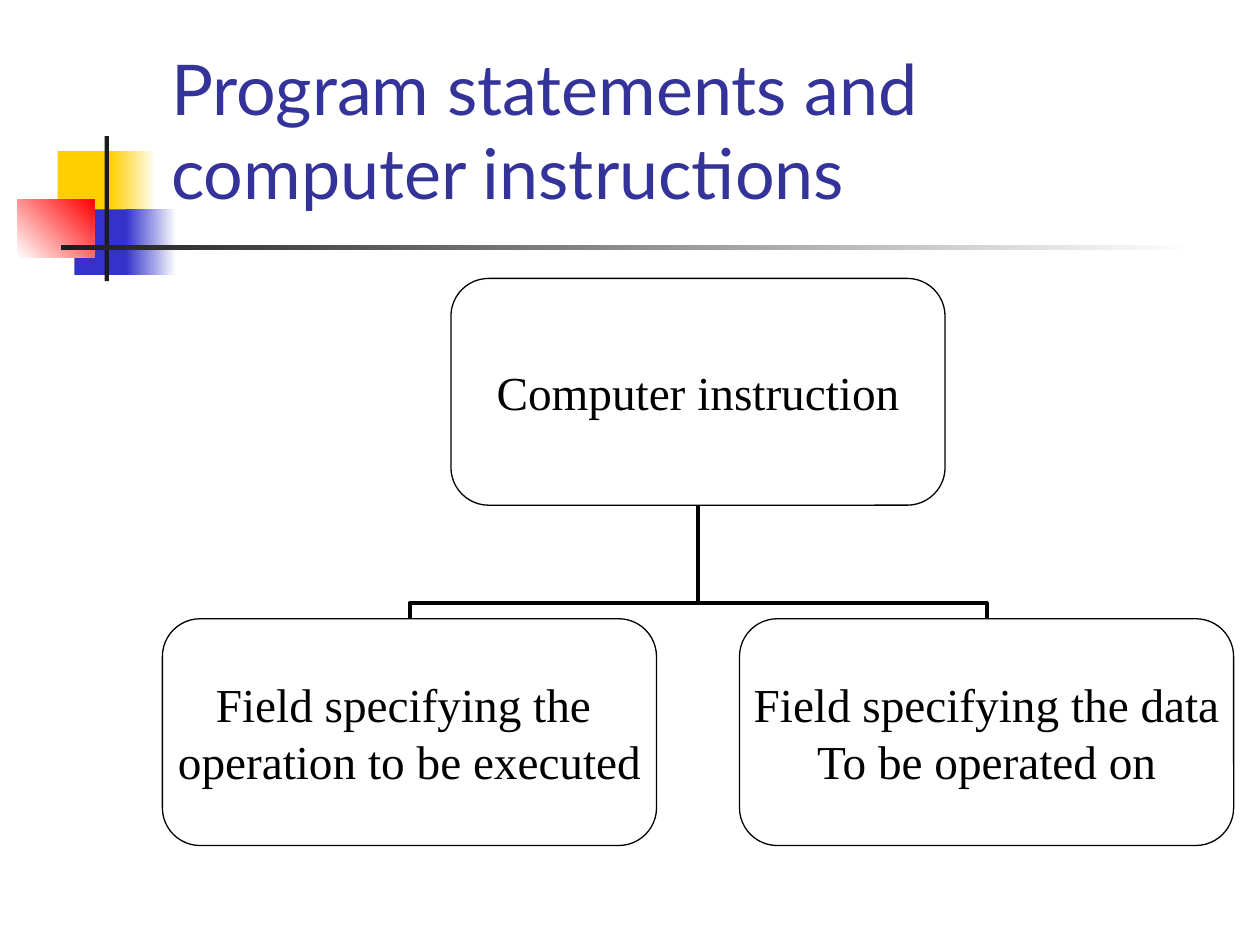
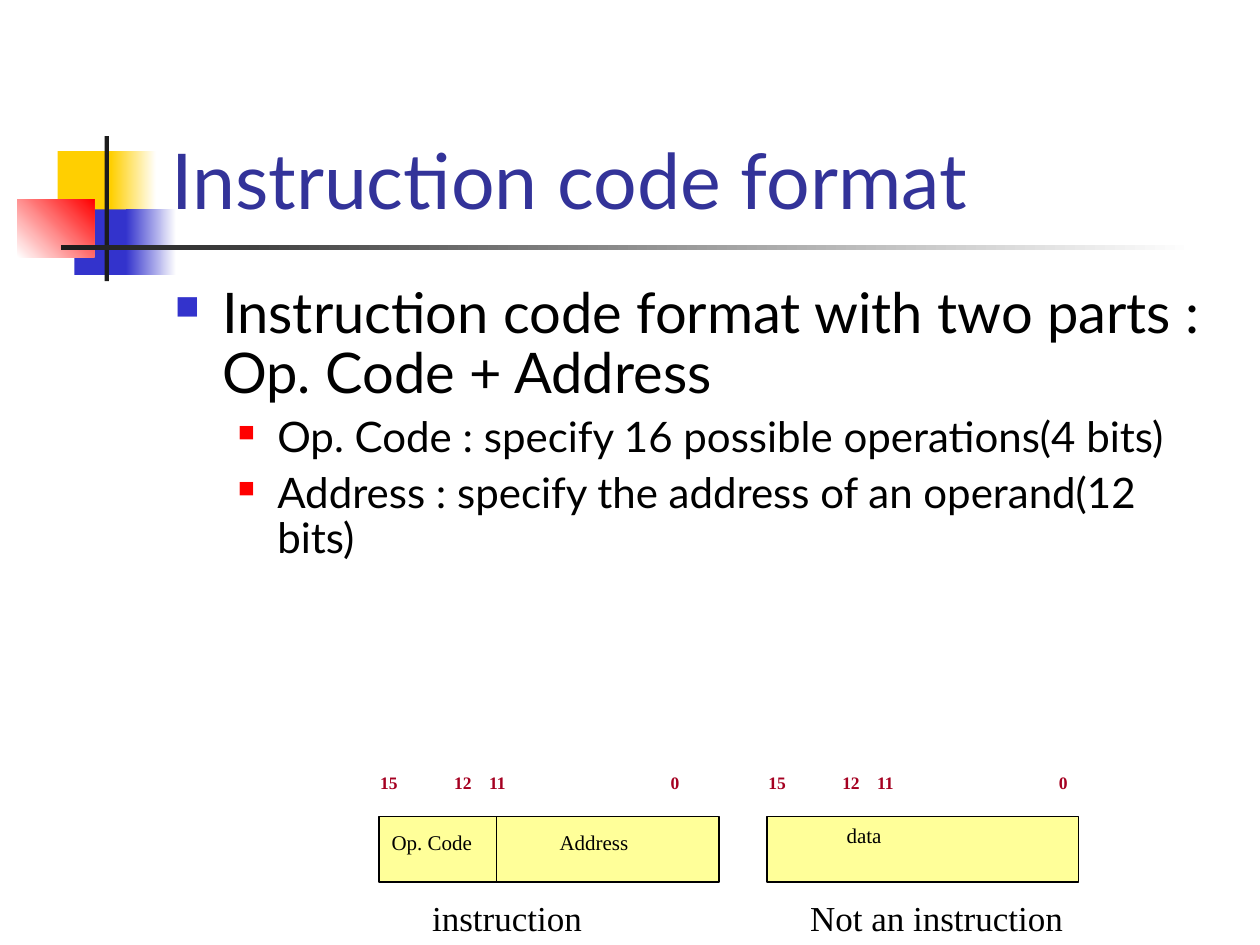
import pptx
import pptx.util
import pptx.dml.color
import pptx.enum.shapes
import pptx.enum.text
import pptx.oxml
import pptx.oxml.ns
import lxml.etree

Pt = pptx.util.Pt
SHAPES = pptx.enum.shapes.MSO_SHAPE
CONNECTORS = pptx.enum.shapes.MSO_CONNECTOR
ANCHOR = pptx.enum.text.MSO_ANCHOR
ALIGN = pptx.enum.text.PP_ALIGN
qn = pptx.oxml.ns.qn

TITLE_FONT, DIAGRAM_FONT = "Lato", "Times New Roman"
BLACK, WHITE, INK = "000000", "FFFFFF", "1C1C1C"
GOLD, BLUE, RED = "FFCF01", "3333CC", "FF0000"
TITLE_BLUE, BIT_RED, WORD_YELLOW = "333399", "A50021", "FFFF99"


def color(hex_string):
    return pptx.dml.color.RGBColor.from_string(hex_string)


def write(shape, lines, size, font=DIAGRAM_FONT, ink=BLACK, bold=False, before=0, tabs=()):
    frame = shape.text_frame
    frame.word_wrap = True
    frame.text = "\n".join(lines)
    for paragraph in frame.paragraphs:
        paragraph.space_before = Pt(before)
        properties = paragraph._p.get_or_add_pPr()
        if tabs:
            tab_list = lxml.etree.SubElement(properties, qn("a:tabLst"))
            for position in tabs:
                lxml.etree.SubElement(tab_list, qn("a:tab"), pos=str(Pt(position)), algn="l")
        for run in paragraph.runs:
            run.font.size = Pt(size)
            run.font.name = font
            run.font.bold = bold
            run.font.color.rgb = color(ink)
    return frame


presentation = pptx.Presentation()
presentation.slide_width = Pt(720)
presentation.slide_height = Pt(540)

decorations = [
    (33, 86.4, 34.5, 37.5, GOLD, None, 0),
    (63.4, 86.4, 25.9, 37.5, GOLD, WHITE, 0),
    (42.5, 119.6, 33, 37.5, BLUE, None, 0),
    (72, 119.6, 28.8, 37.5, BLUE, WHITE, 0),
    (9.8, 113.8, 44, 33.1, WHITE, RED, 45),
    (59.8, 77.8, 2.4, 82.8, INK, None, 0),
    (34.6, 140.2, 648, 2.4, INK, WHITE, 0),
]
titles = [
    ("Program statements and computer instructions", 40, ANCHOR.MIDDLE),
    ("Instruction code format", 44, ANCHOR.BOTTOM),
]
slides = []
for title, title_size, anchor in titles:
    slide = presentation.slides.add_slide(presentation.slide_layouts[6])
    slides.append(slide)
    for left, top, width, height, start, end, angle in decorations:
        shape = slide.shapes.add_shape(SHAPES.RECTANGLE, Pt(left), Pt(top), Pt(width), Pt(height))
        shape.shadow.inherit = False
        shape.line.fill.background()
        if end:
            shape.fill.gradient()
            shape.fill.gradient_angle = angle
            for stop, stop_color in zip(shape.fill.gradient_stops, (start, end)):
                stop.color.rgb = color(stop_color)
        else:
            shape.fill.solid()
            shape.fill.fore_color.rgb = color(start)
    title_box = slide.shapes.add_textbox(Pt(90.7), Pt(16.6), Pt(613.4), Pt(115.2))
    write(title_box, [title], title_size, TITLE_FONT, TITLE_BLUE).vertical_anchor = anchor

tree_slide, format_slide = slides

node_width, node_height = 282.4, 129.6
root_top, child_top = 159.1, 353.6
tree_center, child_offset = 398.9, 164.9
half_rise = (child_top - root_top - node_height) / 2
half_run = child_offset / 2
middle_y = child_top - half_rise
for side, rotation in ((1, 270), (-1, 90)):
    middle_x = tree_center + side * half_run
    branch = tree_slide.shapes.add_connector(
        CONNECTORS.ELBOW,
        Pt(middle_x - side * half_rise), Pt(middle_y + half_run),
        Pt(middle_x + side * half_rise), Pt(middle_y - half_run))
    branch.line.color.rgb = color(BLACK)
    branch.line.width = Pt(2.25)
    properties = branch._element.spPr
    properties.find(qn("a:xfrm")).set("rot", str(rotation * 60000))
    geometry = properties.find(qn("a:prstGeom"))
    for guides in geometry.findall(qn("a:avLst")):
        geometry.remove(guides)
    guides = lxml.etree.SubElement(geometry, qn("a:avLst"))
    lxml.etree.SubElement(guides, qn("a:gd"), name="adj1", fmla="val 13900")
    lxml.etree.SubElement(properties, qn("a:effectLst"))

nodes = [
    (0, root_top, ["Computer instruction"]),
    (-child_offset, child_top, ["Field specifying the ", "operation to be executed"]),
    (child_offset, child_top, ["Field specifying the data", "To be operated on"]),
]
for offset, top, lines in nodes:
    node = tree_slide.shapes.add_shape(
        SHAPES.ROUNDED_RECTANGLE, Pt(tree_center + offset - node_width / 2), Pt(top),
        Pt(node_width), Pt(node_height))
    node.shadow.inherit = False
    node.fill.background()
    node.line.color.rgb = color(BLACK)
    node.line.width = Pt(0.75)
    frame = write(node, lines, 27)
    frame.word_wrap = False
    frame.vertical_anchor = ANCHOR.MIDDLE
    frame.margin_left = frame.margin_right = frame.margin_top = frame.margin_bottom = 0
    for paragraph in frame.paragraphs:
        paragraph.alignment = ALIGN.CENTER

bullets = [
    ("Instruction code format with two parts : Op. Code + Address", 32, 27, 27, 8, BLUE, 60),
    ("Op. Code : specify 16 possible operations(4 bits)", 24, 58.5, 22.5, 6, RED, 55),
    ("Address : specify the address of an operand(12 bits)", 24, 58.5, 22.5, 6, RED, 55),
]
body = format_slide.shapes.add_textbox(Pt(92.9), Pt(159.1), Pt(612), Pt(324))
frame = write(body, [bullet[0] for bullet in bullets], 24, TITLE_FONT)
for paragraph, bullet in zip(frame.paragraphs, bullets):
    text, size, margin, hanging, before, bullet_color, percent = bullet
    paragraph.runs[0].font.size = Pt(size)
    paragraph.line_spacing = 0.9
    paragraph.space_before = Pt(before)
    properties = paragraph._p.get_or_add_pPr()
    properties.set("marL", str(Pt(margin)))
    properties.set("indent", str(-Pt(hanging)))
    if margin > 27:
        paragraph.level = 1
    marker_color = lxml.etree.SubElement(properties, qn("a:buClr"))
    lxml.etree.SubElement(marker_color, qn("a:srgbClr"), val=bullet_color)
    lxml.etree.SubElement(properties, qn("a:buSzPct"), val=str(percent * 1000))
    lxml.etree.SubElement(properties, qn("a:buChar"), char="■")

word_top, word_height = 466.6, 37.4
words = [
    (216.7, 194.4, "Op. Code\tAddress", 96, 470.2, "instruction", 239.8, 113.8),
    (438.5, 177.8, "\tdata", 38.2, word_top, "Not an instruction", 455.8, 167.8),
]
for left, width, fields, tab, fields_top, caption, caption_left, caption_width in words:
    word = format_slide.shapes.add_shape(
        SHAPES.RECTANGLE, Pt(left), Pt(word_top), Pt(width), Pt(word_height))
    word.shadow.inherit = False
    word.fill.solid()
    word.fill.fore_color.rgb = color(WORD_YELLOW)
    word.line.color.rgb = color(BLACK)
    word.line.width = Pt(1)
    field_box = format_slide.shapes.add_textbox(Pt(left), Pt(fields_top), Pt(width), Pt(21.6))
    write(field_box, [fields], 12, before=7.5, tabs=[tab])
    bit_box = format_slide.shapes.add_textbox(Pt(left - 6.5), Pt(437.8), Pt(257.8), Pt(19.4))
    write(bit_box, ["15\t12\t11\t0"], 10, ink=BIT_RED, bold=True, before=6.2,
          tabs=[42.2, 62.2, 166])
    caption_box = format_slide.shapes.add_textbox(
        Pt(caption_left), Pt(509), Pt(caption_width), Pt(31))
    write(caption_box, [caption], 20, before=12.5)

divider = format_slide.shapes.add_connector(
    CONNECTORS.STRAIGHT, Pt(283.7), Pt(word_top), Pt(283.7), Pt(word_top + word_height))
divider.line.color.rgb = color(BLACK)
divider.line.width = Pt(1)
lxml.etree.SubElement(divider._element.spPr, qn("a:effectLst"))

presentation.save("out.pptx")
